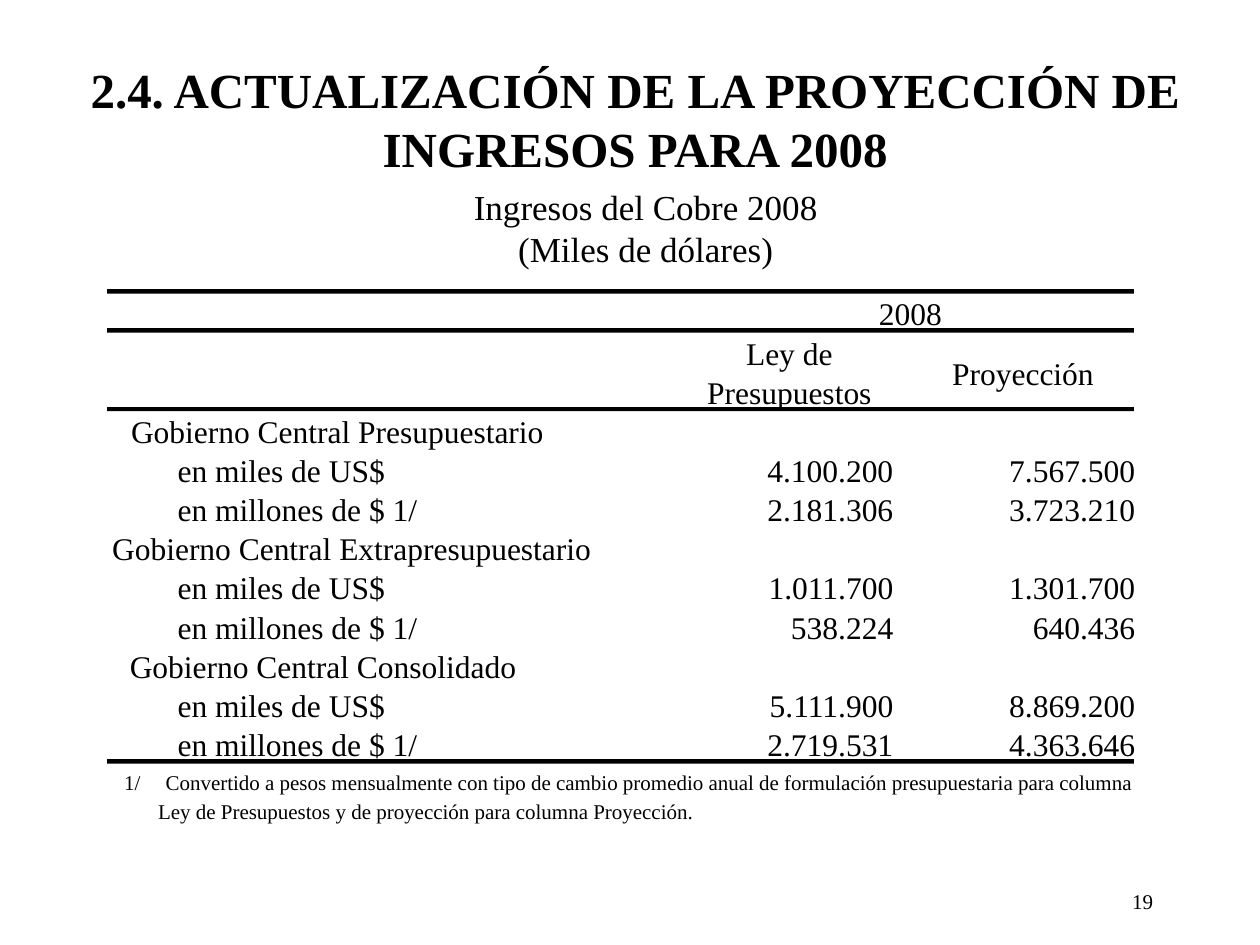
from lxml import etree
from pptx import Presentation
from pptx import util as u
from pptx.dml.color import RGBColor
from pptx.enum import shapes, text
from pptx.oxml import ns

BLACK = RGBColor(0, 0, 0)
FONT = "Times New Roman"
PLAIN_TABLE = "{2D5ABB26-0587-4C30-8999-92F81FD0307C}"
COLUMNS, ROWS = 100, 75
WIDTH, HEIGHT = u.Inches(10), u.Inches(7.5)
CENTER, RIGHT, LEFT = text.PP_ALIGN.CENTER, text.PP_ALIGN.RIGHT, text.PP_ALIGN.LEFT
GROUPS = [
    ("Gobierno Central Presupuestario", 1.9,
     ("4.100.200", "7.567.500"), ("2.181.306", "3.723.210")),
    ("Gobierno Central Extrapresupuestario", 0.4,
     ("1.011.700", "1.301.700"), ("538.224", "640.436")),
    ("Gobierno Central Consolidado", 1.8,
     ("5.111.900", "8.869.200"), ("2.719.531", "4.363.646")),
]
UNITS = ("en miles de US$", "en millones de $ 1/")
UNIT_INDENT = 5.6
TABLE_UNITS = 12
RULED_UNITS = (0, 1, 3, TABLE_UNITS)


def across(columns):
    """Return the length of a number of grid columns."""
    return u.Emu(int(WIDTH * columns / COLUMNS))


def down(rows):
    """Return the length of a number of grid rows."""
    return u.Emu(int(HEIGHT * rows / ROWS))


def place(box):
    """Turn a grid box (column, row, columns, rows) into lengths."""
    column, row, columns, rows = box
    return across(column), down(row), across(columns), down(rows)


def write(frame, lines, size=18, bold=False, align=LEFT, spacing=None):
    """Fill a text frame with one formatted paragraph per line."""
    for index, line in enumerate(lines):
        paragraph = frame.add_paragraph() if index else frame.paragraphs[0]
        paragraph.alignment = align
        if spacing:
            paragraph.line_spacing = spacing
        run = paragraph.add_run()
        run.text = line
        run.font.name, run.font.size, run.font.bold = FONT, u.Pt(size), bold
        run.font.color.rgb = BLACK


def add_text(slide, box, lines, inset=True, **style):
    """Add a wrapping text box on the grid."""
    frame = slide.shapes.add_textbox(*place(box)).text_frame
    frame.word_wrap = True
    if not inset:
        frame.margin_left = frame.margin_right = 0
        frame.margin_top = frame.margin_bottom = 0
    write(frame, lines, **style)
    return frame


def add_heading(slide, box):
    """Place the title and, under it, the subtitle."""
    column, row, columns, rows = box
    title = slide.shapes.title
    title.left, title.top, title.width, title.height = place((column, row, columns, 10.4))
    title.text_frame.vertical_anchor = text.MSO_ANCHOR.TOP
    title.text_frame.auto_size = text.MSO_AUTO_SIZE.NONE
    write(title.text_frame, ["2.4. ACTUALIZACIÓN DE LA PROYECCIÓN DE INGRESOS PARA 2008"],
          size=28, bold=True, align=CENTER)
    add_text(slide, (column + 31.6, row + 10, 29.3, rows - 10),
             ["Ingresos del Cobre 2008", "(Miles de dólares)"], size=20, align=CENTER)


def add_rule(slide, column, row, columns):
    """Draw a hairline with a thin bar beneath it."""
    left, top, width, height = place((column, row, columns, 0.2))
    hairline = slide.shapes.add_connector(
        shapes.MSO_CONNECTOR.STRAIGHT, left, top, left + width, top)
    hairline.line.color.rgb, hairline.line.width = BLACK, 0
    etree.SubElement(hairline._element.spPr, ns.qn("a:effectLst"))
    bar = slide.shapes.add_shape(shapes.MSO_SHAPE.RECTANGLE, left, top, width, height)
    bar.shadow.inherit = False
    bar.fill.solid()
    bar.fill.fore_color.rgb = BLACK
    bar.line.fill.background()


def set_cell(cell, lines, indent=0, **style):
    """Write a table cell with its indent given in grid columns."""
    cell.margin_left = across(indent)
    write(cell.text_frame, lines, **style)


def add_income_table(slide, box):
    """Place the copper income table with its ruled header."""
    left, top, columns, rows = box
    body = []
    for label, indent, *amounts in GROUPS:
        body.append((label, indent, ()))
        body += [(unit, UNIT_INDENT, pair) for unit, pair in zip(UNITS, amounts)]
    table_frame = slide.shapes.add_table(len(body) + 2, 3, *place(box))
    table = table_frame.table
    table.first_row = table.horz_banding = False
    table._tbl.tblPr.find(ns.qn("a:tableStyleId")).text = PLAIN_TABLE
    for column, share in zip(table.columns, (45.9, 16.5, 19.2)):
        column.width = across(share)
    for index, row in enumerate(table.rows):
        row.height = down(rows / TABLE_UNITS * (2 if index == 1 else 1))
        for cell in row.cells:
            cell.fill.background()
            cell.margin_left = cell.margin_right = 0
            cell.margin_top = cell.margin_bottom = 0
            cell.vertical_anchor = text.MSO_ANCHOR.BOTTOM
    table.cell(0, 1).merge(table.cell(0, 2))
    set_cell(table.cell(0, 1), ["2008"], align=CENTER)
    set_cell(table.cell(1, 1), ["Ley de", "Presupuestos"], align=CENTER, spacing=u.Pt(22.3))
    projection = table.cell(1, 2)
    set_cell(projection, ["Proyección"], indent=1.4, align=CENTER)
    projection.vertical_anchor = text.MSO_ANCHOR.MIDDLE
    projection.margin_top = down(0.4)
    for row, (label, indent, amounts) in enumerate(body, 2):
        set_cell(table.cell(row, 0), [label], indent=indent)
        for column, amount in enumerate(amounts, 1):
            set_cell(table.cell(row, column), [amount], align=RIGHT)
    for unit in RULED_UNITS:
        add_rule(slide, left, top - 0.2 + rows * unit / TABLE_UNITS, columns - 0.1)


def add_footnote(slide, box):
    """Place the note mark and the note beside it."""
    column, row, columns, rows = box
    style = dict(inset=False, size=12, spacing=u.Pt(16.5))
    add_text(slide, (column, row, 2, rows / 2), ["1/"], **style)
    note = add_text(
        slide, (column + 2.7, row, columns - 2.7, rows),
        ["Convertido a pesos mensualmente con tipo de cambio promedio anual de formulación "
         "presupuestaria para columna Ley de Presupuestos y de proyección para columna "
         "Proyección."], **style)
    note.paragraphs[0]._p.get_or_add_pPr().set("indent", str(across(0.6)))


def main():
    """Build the slide and save it."""
    deck = Presentation()
    deck.slide_width, deck.slide_height = WIDTH, HEIGHT
    slide = deck.slides.add_slide(deck.slide_layouts[5])
    add_heading(slide, (5, 4.2, 90.8, 17.7))
    add_income_table(slide, (8.5, 23.3, 81.6, 37.3))
    add_footnote(slide, (9.85, 60.8, 80.7, 4.6))
    add_text(slide, (71.7, 70, 20.8, 2.5), ["19"], size=12, align=RIGHT)
    deck.save("out.pptx")


if __name__ == "__main__":
    main()
